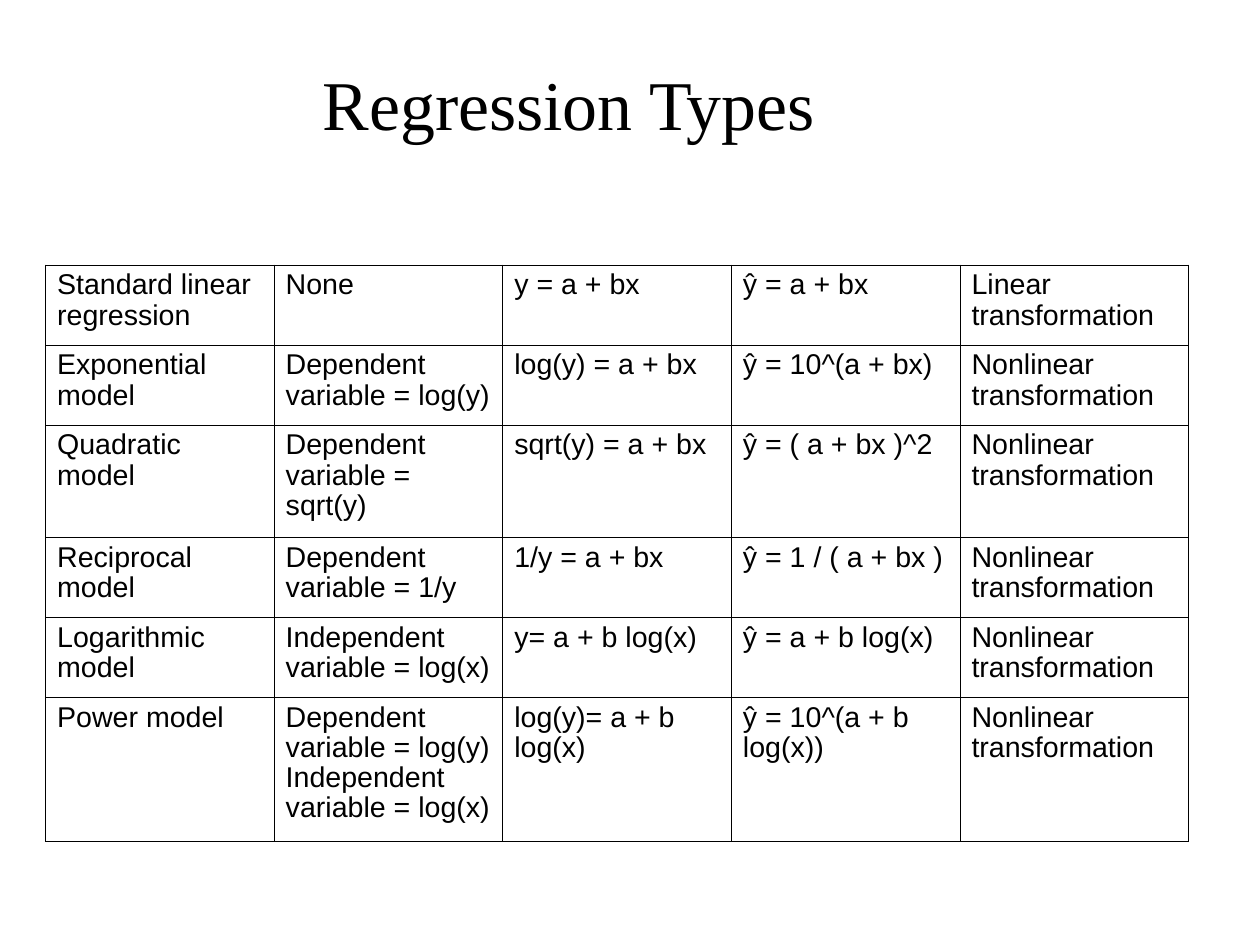
from lxml.etree import SubElement
from pptx import Presentation
from pptx.dml.color import RGBColor
from pptx.enum.text import MSO_ANCHOR, PP_ALIGN
from pptx.oxml.ns import qn
from pptx.util import Inches, Pt

INK = "000000"
CM = 1 / 2.54  # inches in a centimetre


def write(frame, text, font="Arial", size=18, color=INK, align=PP_ALIGN.LEFT, gap=0.94):
    """Fill a text frame, one paragraph per line of text."""
    frame.word_wrap = True
    for i, line in enumerate(text.split("\n")):
        para = frame.add_paragraph() if i else frame.paragraphs[0]
        para.alignment = align
        para.line_spacing = gap
        run = para.add_run()
        run.text = line
        run.font.name = font
        run.font.size = Pt(size)
        run.font.color.rgb = RGBColor.from_string(color)


def border(cell, color=INK, width=0.75):
    """Draw a solid line on all four sides of a cell."""
    props = cell._tc.get_or_add_tcPr()
    for side in ("a:lnL", "a:lnR", "a:lnT", "a:lnB"):
        line = SubElement(props, qn(side), w=str(Pt(width)))
        fill = SubElement(line, qn("a:solidFill"))
        SubElement(fill, qn("a:srgbClr"), val=color)


# Page of 28 by 21 cm
deck = Presentation()
deck.slide_width = Inches(28 * CM)
deck.slide_height = Inches(21 * CM)
slide = deck.slides.add_slide(deck.slide_layouts[6])

# Title
title = slide.shapes.add_textbox(Inches(0.55), Inches(0.31), Inches(8.86), Inches(1.21))
frame = title.text_frame
frame.margin_left = frame.margin_right = frame.margin_bottom = 0
frame.margin_top = Inches(0.04)
frame.vertical_anchor = MSO_ANCHOR.MIDDLE
write(frame, "Regression Types", font="Times New Roman", size=44,
      align=PP_ALIGN.CENTER, gap=0.93)

# Models: name, change of variable, equation, prediction, kind, row height
models = [
    ("Standard linear regression", "None",
     "y = a + bx", "ŷ = a + bx", "Linear", 0.7),
    ("Exponential model", "Dependent variable = log(y)",
     "log(y) = a + bx", "ŷ = 10^(a + bx)", "Nonlinear", 0.7),
    ("Quadratic model", "Dependent variable = sqrt(y)",
     "sqrt(y) = a + bx", "ŷ = ( a + bx )^2", "Nonlinear", 0.98),
    ("Reciprocal model", "Dependent variable = 1/y",
     "1/y = a + bx", "ŷ = 1 / ( a + bx )", "Nonlinear", 0.7),
    ("Logarithmic model", "Independent variable = log(x)",
     "y= a + b log(x)", "ŷ = a + b log(x)", "Nonlinear", 0.7),
    ("Power model", "Dependent variable = log(y)\nIndependent variable = log(x)",
     "log(y)= a + b log(x)", "ŷ = 10^(a + b log(x))", "Nonlinear", 1.26),
]

# Table
table = slide.shapes.add_table(len(models), 5, Inches(0.4), Inches(2.32),
                               Inches(10), Inches(5.04)).table
table.first_row = table.horz_banding = False
for col in table.columns:
    col.width = Inches(2)
for r, (name, change, model, guess, kind, height) in enumerate(models):
    table.rows[r].height = Inches(height)
    for c, text in enumerate((name, change, model, guess, kind + " transformation")):
        cell = table.cell(r, c)
        write(cell.text_frame, text)
        border(cell)
        cell.fill.background()

deck.save("out.pptx")
